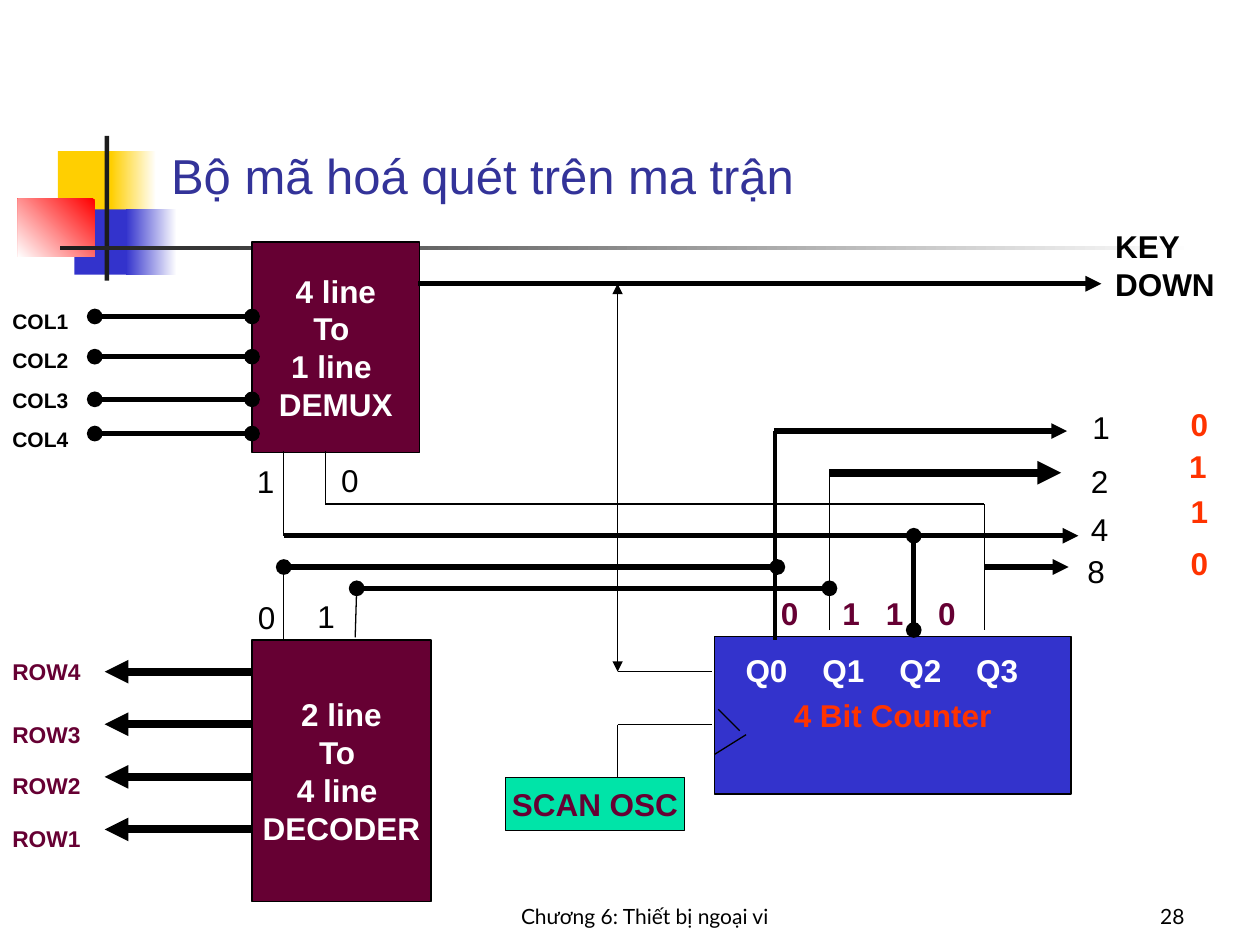
from lxml import etree
from pptx import Presentation
from pptx.dml.color import RGBColor
from pptx.enum import shapes, text
from pptx.oxml import ns
from pptx.util import Cm, Pt

BLACK, WHITE, PLUM, BLUE, ORANGE = "000000", "FFFFFF", "660033", "3333CC", "FF3300"
LEFT, CENTER, RIGHT = text.PP_ALIGN.LEFT, text.PP_ALIGN.CENTER, text.PP_ALIGN.RIGHT
TOP, MIDDLE, BOTTOM = text.MSO_ANCHOR.TOP, text.MSO_ANCHOR.MIDDLE, text.MSO_ANCHOR.BOTTOM

deck = Presentation()
deck.slide_width, deck.slide_height = Cm(25.4), Cm(19.05)
page = deck.slides.add_slide(deck.slide_layouts[6])


def write(box, words, size=18, color=BLACK, bold=False, font="Arial",
          align=LEFT, anchor=TOP, wrap=True):
    frame = box.text_frame
    frame.text = words
    frame.word_wrap = wrap
    frame.vertical_anchor = anchor
    for para in frame.paragraphs:
        para.alignment = align
        for span in para.runs:
            span.font.name, span.font.size, span.font.bold = font, Pt(size), bold
            span.font.color.rgb = RGBColor.from_string(color)


def wire(x1, y1, x2, y2, width=0.75, head=None, tail=None):
    line = page.shapes.add_connector(
        shapes.MSO_CONNECTOR.STRAIGHT, Cm(x1), Cm(y1), Cm(x2), Cm(y2))
    line.line.width = Pt(width)
    line.line.color.rgb = RGBColor.from_string(BLACK)
    properties = line._element.spPr
    for end, kind in (("a:headEnd", head), ("a:tailEnd", tail)):
        if kind:
            outline = properties.find(ns.qn("a:ln"))
            etree.SubElement(outline, ns.qn(end), type=kind)
    etree.SubElement(properties, ns.qn("a:effectLst"))


# Corner ornament: left, top, width, height, fill, gradient start, gradient end, angle
ornament = [
    (1.17, 3.05, 1.22, 1.32, "FFCF01", None, None, None),
    (2.24, 3.05, 0.91, 1.32, None, WHITE, "FFCF01", 180),
    (1.5, 4.22, 1.17, 1.32, BLUE, None, None, None),
    (2.54, 4.22, 1.02, 1.32, None, WHITE, BLUE, 180),
    (0.36, 4.01, 1.55, 1.17, None, "FF0000", WHITE, 225),
    (2.11, 2.74, 0.09, 2.92, "1C1C1C", None, None, None),
    (1.22, 4.95, 22.86, 0.09, None, WHITE, "1C1C1C", 180),
]
for left, top, width, height, solid, start, end, angle in ornament:
    piece = page.shapes.add_shape(
        shapes.MSO_SHAPE.RECTANGLE, Cm(left), Cm(top), Cm(width), Cm(height))
    piece.shadow.inherit = False
    piece.line.fill.background()
    if solid:
        piece.fill.solid()
        piece.fill.fore_color.rgb = RGBColor.from_string(solid)
    else:
        piece.fill.gradient()
        piece.fill.gradient_angle = angle
        for stop, color in zip(piece.fill.gradient_stops, (start, end)):
            stop.color.rgb = RGBColor.from_string(color)

# Circuit blocks
blocks = [
    (5.08, 4.88, 3.38, 4.24, PLUM, WHITE, "4 line\nTo \n1 line \nDEMUX"),
    (5.08, 12.9, 3.61, 5.28, PLUM, WHITE, "2 line\nTo \n4 line \nDECODER"),
    (14.4, 12.83, 7.19, 3.18, BLUE, ORANGE, "4 Bit Counter"),
    (10.19, 15.67, 3.61, 1.07, "00E4A8", PLUM, "SCAN OSC"),
]
for left, top, width, height, fill, color, words in blocks:
    block = page.shapes.add_shape(
        shapes.MSO_SHAPE.RECTANGLE, Cm(left), Cm(top), Cm(width), Cm(height))
    block.shadow.inherit = False
    block.fill.solid()
    block.fill.fore_color.rgb = RGBColor.from_string(fill)
    block.line.width = Pt(0.75)
    block.line.color.rgb = RGBColor.from_string(BLACK)
    write(block, words, color=color, bold=True, align=CENTER, anchor=MIDDLE, wrap=False)

# Column inputs and row outputs
for y in (6.38, 7.19, 8.05, 8.74):
    wire(1.91, y, 5.08, y, 3, "oval", "oval")
for row in range(4):
    y = 13.54 + 1.06 * row
    wire(5.08, y, 2.11, y, 4.5, tail="triangle")

# Heavy wires ending in an arrow
for x1, y, x2, weight in [
    (8.43, 5.72, 22.2, 3), (15.6, 8.69, 21.51, 3), (16.72, 9.53, 21.39, 4.5),
    (5.72, 10.8, 21.74, 3), (19.84, 11.43, 21.54, 3),
]:
    wire(x1, y, x2, y, weight, tail="triangle")

# Heavy wires between two junctions
for ends in [
    (5.72, 11.43, 15.67, 11.43), (7.19, 11.86, 16.72, 11.86), (18.42, 12.7, 18.42, 10.8),
]:
    wire(*ends, 3, "oval", "oval")

# Thin wires
for ends in [
    (6.56, 9.1, 6.56, 10.16), (6.56, 10.16, 19.84, 10.16), (19.84, 10.16, 19.84, 12.7),
    (5.72, 10.8, 5.72, 9.1), (5.72, 12.9, 5.72, 11.43), (7.16, 12.85, 7.19, 11.86),
    (16.72, 12.7, 16.72, 9.53), (12.45, 13.54, 14.35, 13.54),
    (12.45, 14.61, 14.35, 14.61), (12.45, 14.61, 12.45, 15.67),
    (14.48, 14.3, 14.91, 14.73), (14.4, 15.21, 15.04, 14.81),
]:
    wire(*ends)
wire(15.62, 12.9, 15.62, 8.69, 2.25)
wire(12.45, 13.54, 12.45, 5.72, head="triangle", tail="triangle")

# Single digits beside the wires
digits = [
    (21.77, 8.1, "1", BLACK), (21.74, 9.19, "2", BLACK),
    (21.74, 10.16, "4", BLACK), (21.67, 11, "8", BLACK),
    (4.95, 11.94, "0", BLACK), (6.15, 11.91, "1", BLACK),
    (4.93, 9.19, "1", BLACK), (6.63, 9.17, "0", BLACK),
    (23.75, 8.05, "0", ORANGE), (23.72, 8.89, "1", ORANGE),
    (23.75, 9.8, "1", ORANGE), (23.75, 10.85, "0", ORANGE),
]
for left, top, digit, color in digits:
    box = page.shapes.add_textbox(Cm(left), Cm(top), Cm(0.84), Cm(1.02))
    write(box, digit, color=color, bold=color == ORANGE)

for name, top in (("ROW4", 13.13), ("ROW3", 14.4), ("ROW2", 15.44), ("ROW1", 16.51)):
    box = page.shapes.add_textbox(Cm(0), Cm(top), Cm(1.91), Cm(0.81))
    write(box, name, 13, PLUM, True)

columns = page.shapes.add_textbox(Cm(0), Cm(6.09), Cm(1.7), Cm(3.05))
write(columns, "COL1\nCOL2\nCOL3\nCOL4", 12, bold=True)
for para in columns.text_frame.paragraphs[1:]:
    para.space_before = Pt(8.2)

key_down = page.shapes.add_textbox(Cm(22.23), Cm(4.45), Cm(2.54), Cm(1.78))
write(key_down, "KEY DOWN", bold=True)

# Counter outputs and their bits, spread with tab stops
for left, top, width, words, color, stops in [
    (14.78, 13, 6.35, "Q0\tQ1\tQ2\tQ3", WHITE, (1.55, 3.1, 4.65)),
    (15.49, 11.86, 4.24, "0\t1\t1\t0", PLUM, (1.24, 2.12, 3.17)),
]:
    box = page.shapes.add_textbox(Cm(left), Cm(top), Cm(width), Cm(1.02))
    write(box, words, color=color, bold=True)
    properties = box.text_frame.paragraphs[0]._p.get_or_add_pPr()
    tab_list = etree.SubElement(properties, ns.qn("a:tabLst"))
    for stop in stops:
        etree.SubElement(tab_list, ns.qn("a:tab"), pos=str(Cm(stop)), algn="l")

# Title and footer
title = page.shapes.add_textbox(Cm(3.2), Cm(2.54), Cm(21.64), Cm(1.7))
write(title, "Bộ mã hoá quét trên ma trận", 28, "333399", anchor=BOTTOM)
for left, width, words, align in [
    (5.28, 15.44, "Chương 6: Thiết bị ngoại vi", CENTER), (21.16, 2.97, "28", RIGHT),
]:
    footer = page.shapes.add_textbox(Cm(left), Cm(17.58), Cm(width), Cm(1.27))
    write(footer, words, 12, font="Lato", align=align, anchor=BOTTOM)

deck.save("out.pptx")
